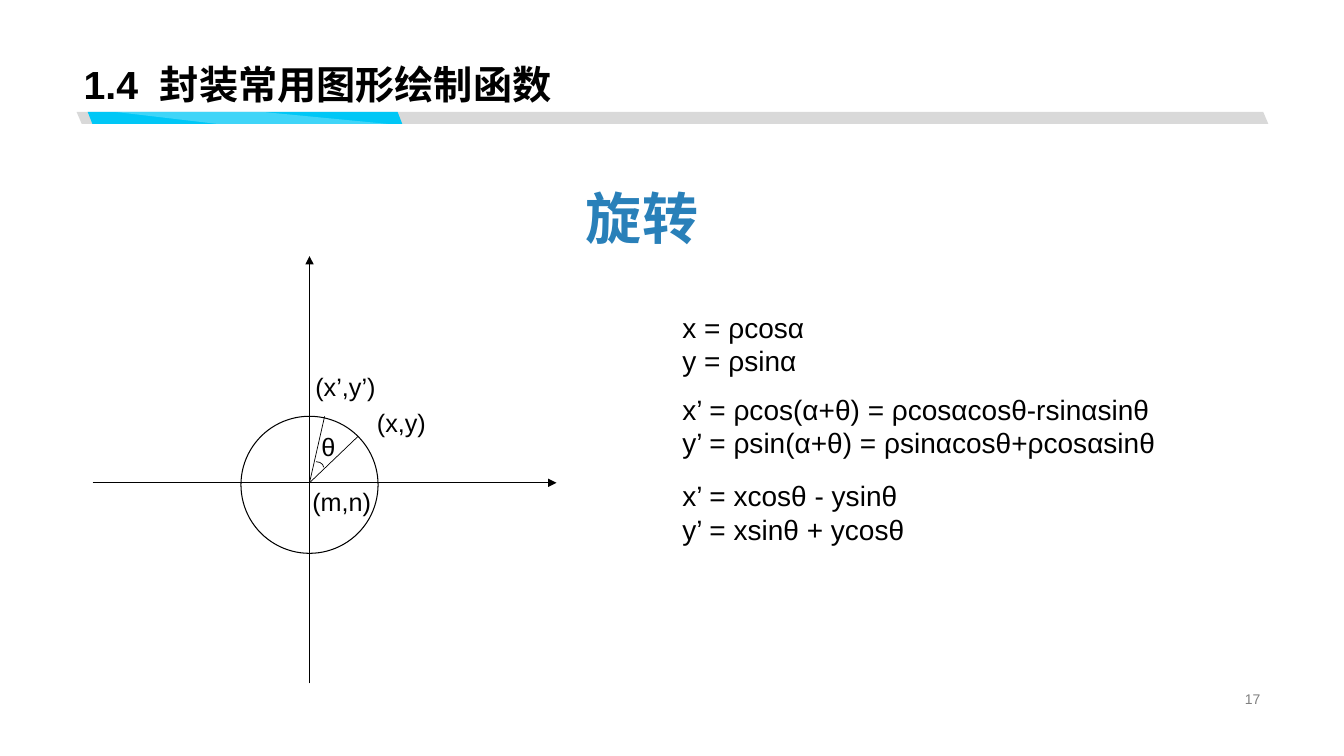
import pptx
import pptx.util
import pptx.dml.color
import pptx.enum.shapes
import pptx.enum.text
import pptx.oxml.ns
import lxml.etree

Inches = pptx.util.Inches
Pt = pptx.util.Pt
Shape = pptx.enum.shapes.MSO_SHAPE
Align = pptx.enum.text.PP_ALIGN
Anchor = pptx.enum.text.MSO_ANCHOR
qn = pptx.oxml.ns.qn


def color(value):
    return pptx.dml.color.RGBColor.from_string(value)


def write(para, text, size, value="000000", bold=False, spacing=0):
    span = para.add_run()
    span.text = text
    span.font.name = "Arial"
    span.font.size = Pt(size)
    span.font.bold = bold
    span.font.color.rgb = color(value)
    if spacing:
        span.font._element.set("spc", str(round(spacing * 100)))


deck = pptx.Presentation()
deck.slide_width = Inches(13.33)
deck.slide_height = Inches(7.5)
page = deck.slides.add_slide(deck.slide_layouts[5])
shapes = page.shapes

for left, width, slant, value in [(0.76, 11.82, 0.424, "D9D9D9"),
                                  (0.87, 3.12, 0.388, "00C7F6")]:
    bar = shapes.add_shape(Shape.PARALLELOGRAM, Inches(left), Inches(1.11),
                           Inches(width), Inches(0.12))
    bar.adjustments[0] = slant
    bar._element.spPr.find(qn("a:xfrm")).set("flipH", "1")
    bar.shadow.inherit = False
    bar.fill.solid()
    bar.fill.fore_color.rgb = color(value)
    bar.line.fill.background()

outline = shapes.build_freeform(Inches(3.85), Inches(1.23))
outline.add_line_segments([(Inches(x), Inches(y)) for x, y in
                           [(2.6, 1.11), (1.14, 1.11), (2.16, 1.23)]], close=True)
gloss = outline.convert_to_shape()
gloss.shadow.inherit = False
gloss.fill.solid()
gloss.fill.fore_color.rgb = color("FFFFFF")
gloss.line.fill.background()
white = gloss._element.spPr.find(qn("a:solidFill"))[0]
lxml.etree.SubElement(white, qn("a:alpha")).set("val", "25000")

title = shapes.title
title.left, title.top = Inches(0.73), Inches(0)
title.width, title.height = Inches(11.87), Inches(1.12)
title.text_frame.auto_size = pptx.enum.text.MSO_AUTO_SIZE.NONE
title.text_frame.vertical_anchor = Anchor.BOTTOM
para = title.text_frame.paragraphs[0]
para.alignment = Align.LEFT
para.line_spacing = 0.9
write(para, "1.4", 28, bold=True)
write(para, " ", 28, bold=True, spacing=7.8)
write(para, "封装常用图形绘制函数", 28, bold=True)

box = shapes.add_textbox(Inches(9.42), Inches(6.82), Inches(3.18), Inches(0.23))
box.text_frame.word_wrap = True
box.text_frame.vertical_anchor = Anchor.MIDDLE
para = box.text_frame.paragraphs[0]
para.alignment = Align.RIGHT
write(para, "17", 10, "808080")

box = shapes.add_textbox(Inches(5.7), Inches(1.77), Inches(1.34), Inches(0.77))
box.text_frame.word_wrap = False
para = box.text_frame.paragraphs[0]
para.alignment = Align.CENTER
write(para, "旋转", 40, "2980B9", bold=True, spacing=0.5)

for kind, left, top, width, height, weight in [
        (Shape.OVAL, 2.39, 4.13, 1.36, 1.36, 0.75),
        (Shape.ARC, 3.06, 4.58, 0.15, 0.11, 0.5)]:
    curve = shapes.add_shape(kind, Inches(left), Inches(top), Inches(width), Inches(height))
    curve.shadow.inherit = False
    curve.fill.background()
    curve.line.color.rgb = color("000000")
    curve.line.width = Pt(weight)

for start, end, arrow in [((0.92, 4.79), (5.52, 4.79), True),
                          ((3.07, 6.78), (3.07, 2.54), True),
                          ((3.22, 4.13), (3.07, 4.79), False),
                          ((3.07, 4.79), (3.55, 4.33), False)]:
    line = shapes.add_connector(pptx.enum.shapes.MSO_CONNECTOR.STRAIGHT,
                                *[Inches(value) for value in start + end])
    line.line.color.rgb = color("000000")
    line.line.width = Pt(0.5)
    if arrow:
        lxml.etree.SubElement(line.line._get_or_add_ln(), qn("a:tailEnd")).set("type", "triangle")
    lxml.etree.SubElement(line._element.spPr, qn("a:effectLst"))

for left, top, width, height, size, lines in [
        (3.03, 3.63, 1.27, 0.46, 18, ["(x’,y’)"]),
        (3.64, 3.99, 1.27, 0.46, 18, ["(x,y)"]),
        (3, 4.78, 1.27, 0.46, 18, ["(m,n)"]),
        (3.09, 4.23, 0.29, 0.46, 18, ["θ"]),
        (6.67, 3.03, 1.41, 0.77, 20, ["x = ρcosα", "y = ρsinα"]),
        (6.67, 3.84, 5.23, 0.77, 20, ["x’ = ρcos(α+θ) = ρcosαcosθ-rsinαsinθ",
                                      "y’ = ρsin(α+θ) = ρsinαcosθ+ρcosαsinθ"]),
        (6.67, 4.7, 4.08, 0.77, 20, ["x’ = xcosθ - ysinθ", "y’ = xsinθ + ycosθ"])]:
    box = shapes.add_textbox(Inches(left), Inches(top), Inches(width), Inches(height))
    frame = box.text_frame
    frame.word_wrap = True
    for index, text in enumerate(lines):
        para = frame.add_paragraph() if index else frame.paragraphs[0]
        write(para, text, size)

deck.save("out.pptx")
